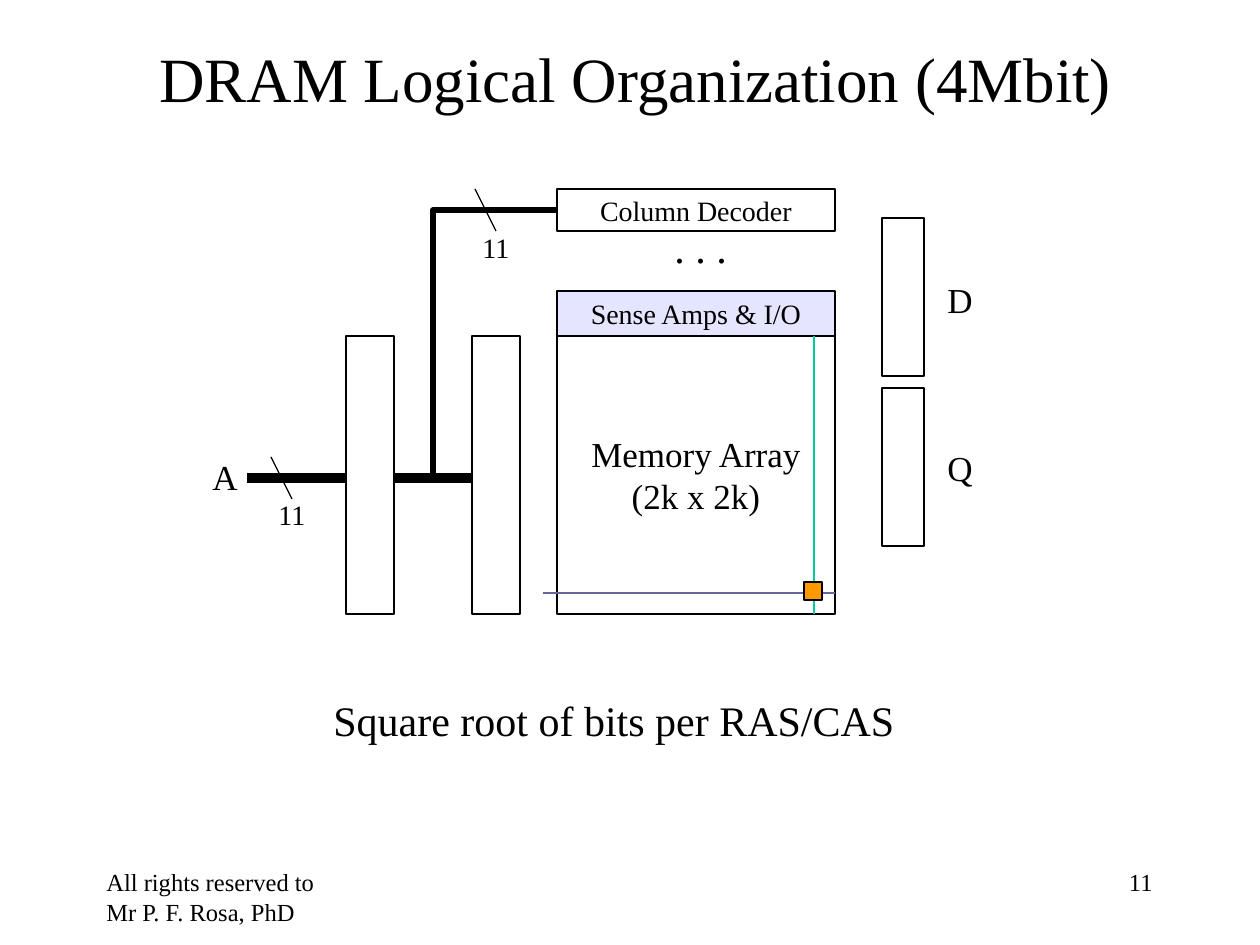
from lxml.etree import SubElement
from pptx import Presentation
from pptx.dml.color import RGBColor
from pptx.enum.shapes import MSO_CONNECTOR, MSO_SHAPE
from pptx.enum.text import MSO_ANCHOR as Anchor, PP_ALIGN as Align
from pptx.oxml.ns import qn
from pptx.util import Emu, Pt

PX = 914400 / 126
FONT = "Times New Roman"
BLACK, WHITE = "000000", "FFFFFF"

# Content: text, (left, top, width, height), size, alignment, anchor
PAGE_TEXTS = [
    ("All rights reserved to Mr P. F. Rosa, PhD", (94, 861, 262, 63), 14, Align.LEFT, Anchor.TOP),
    ("11", (903, 861, 262, 63), 14, Align.RIGHT, Anchor.TOP),
    ("DRAM Logical Organization (4Mbit)", (100, -2, 1071, 158), 36, Align.CENTER, Anchor.MIDDLE),
    ("Square root of bits per RAS/CAS", (321, 688, 586, 63), 24, Align.LEFT, Anchor.TOP),
]
# Labels: text, left, top, width, height, size
LABELS = [
    ("A", 200, 449, 50, 54, 20),
    ("11", 266, 491, 53, 47, 16),
    (". . .", 662, 215, 78, 63, 24),
    ("11", 470, 224, 53, 47, 16),
    ("D", 935, 272, 50, 54, 20),
    ("Q", 935, 440, 50, 54, 20),
]
# Memory blocks stacked in one column: lines, top, height, size, fill, opacity
BLOCK_LEFT, BLOCK_WIDTH = 557, 278
BLOCKS = [
    (["Memory Array", "(2k x 2k)"], 336, 278, 20, None, None),
    (["Sense Amps & I/O"], 291, 45, 16, "CCCCFF", 50),
    (["Column Decoder"], 189, 42, 16, None, None),
]
ADDRESS_LATCHES = [(left, 336, 48, 278) for left in (346, 472)]
DATA_LATCHES = [(882, top, 42, 158) for top in (218, 388)]
CELL = (804, 582, 18, 18)
# Lines: x1, y1, x2, y2, colour, width
ADDRESS_BUS = (485, 478, 247, 478, BLACK, 5.5)
BUS_SLASHES = [(x, y, x + 21, y + 42, BLACK, 0.75) for x, y in ((271, 457), (475, 189))]
SELECT_LINES = [
    (543, 593, 835, 593, "666699", 0.75),
    (814, 336, 814, 614, "00CC99", 0.75),
]
COLUMN_BUS = [(433, 478), (433, 210), (557, 210)]


def px(*values):
    return [Emu(round(value * PX)) for value in values]


def color(value):
    return RGBColor.from_string(value)


def write(shape, lines, size, align, anchor):
    frame = shape.text_frame
    frame.word_wrap = True
    frame.vertical_anchor = anchor
    frame.text = "\n".join(lines)
    for paragraph in frame.paragraphs:
        paragraph.alignment = align
        paragraph.font.name = FONT
        paragraph.font.size = Pt(size)
        paragraph.font.color.rgb = color(BLACK)


def add_text(slide, text, box, size, align=Align.LEFT, anchor=Anchor.TOP):
    write(slide.shapes.add_textbox(*px(*box)), [text], size, align, anchor)


def add_box(slide, box, fill=None, opacity=None):
    shape = slide.shapes.add_shape(MSO_SHAPE.RECTANGLE, *px(*box))
    shape.shadow.inherit = False
    shape.line.color.rgb = color(BLACK)
    shape.line.width = Pt(0.75)
    if fill is None:
        shape.fill.background()
    else:
        shape.fill.solid()
        shape.fill.fore_color.rgb = color(fill)
    if opacity is not None:
        srgb = next(shape.fill._xPr.iter(qn("a:srgbClr")))
        SubElement(srgb, qn("a:alpha"), val=str(opacity * 1000))
    return shape


def add_line(slide, x1, y1, x2, y2, line_color, width):
    line = slide.shapes.add_connector(MSO_CONNECTOR.STRAIGHT, *px(x1, y1, x2, y2))
    line.line.color.rgb = color(line_color)
    line.line.width = Pt(width)
    SubElement(line._element.spPr, qn("a:effectLst"))


def add_column_bus(slide):
    start, *rest = COLUMN_BUS
    builder = slide.shapes.build_freeform(*start, scale=PX)
    builder.add_line_segments(rest, close=False)
    bus = builder.convert_to_shape()
    bus.shadow.inherit = False
    bus.fill.background()
    bus.line.color.rgb = color(BLACK)
    bus.line.width = Pt(3.25)


def main():
    presentation = Presentation()
    presentation.slide_width, presentation.slide_height = px(1260, 945)
    slide = presentation.slides.add_slide(presentation.slide_layouts[6])

    # Title, caption and footer
    for item in PAGE_TEXTS:
        add_text(slide, *item)

    # Address bus passes behind the latches
    add_line(slide, *ADDRESS_BUS)
    for box in ADDRESS_LATCHES:
        add_box(slide, box, WHITE)

    # Memory column
    for lines, top, height, size, fill, opacity in BLOCKS:
        block = add_box(slide, (BLOCK_LEFT, top, BLOCK_WIDTH, height), fill, opacity)
        write(block, lines, size, Align.CENTER, Anchor.MIDDLE)

    # Column bus, slashes and selected cell
    add_column_bus(slide)
    for line in BUS_SLASHES + SELECT_LINES:
        add_line(slide, *line)
    add_box(slide, CELL, "FF9900")

    # Data latches and labels
    for box in DATA_LATCHES:
        add_box(slide, box)
    for text, *box, size in LABELS:
        add_text(slide, text, box, size)

    presentation.save("out.pptx")


if __name__ == "__main__":
    main()
